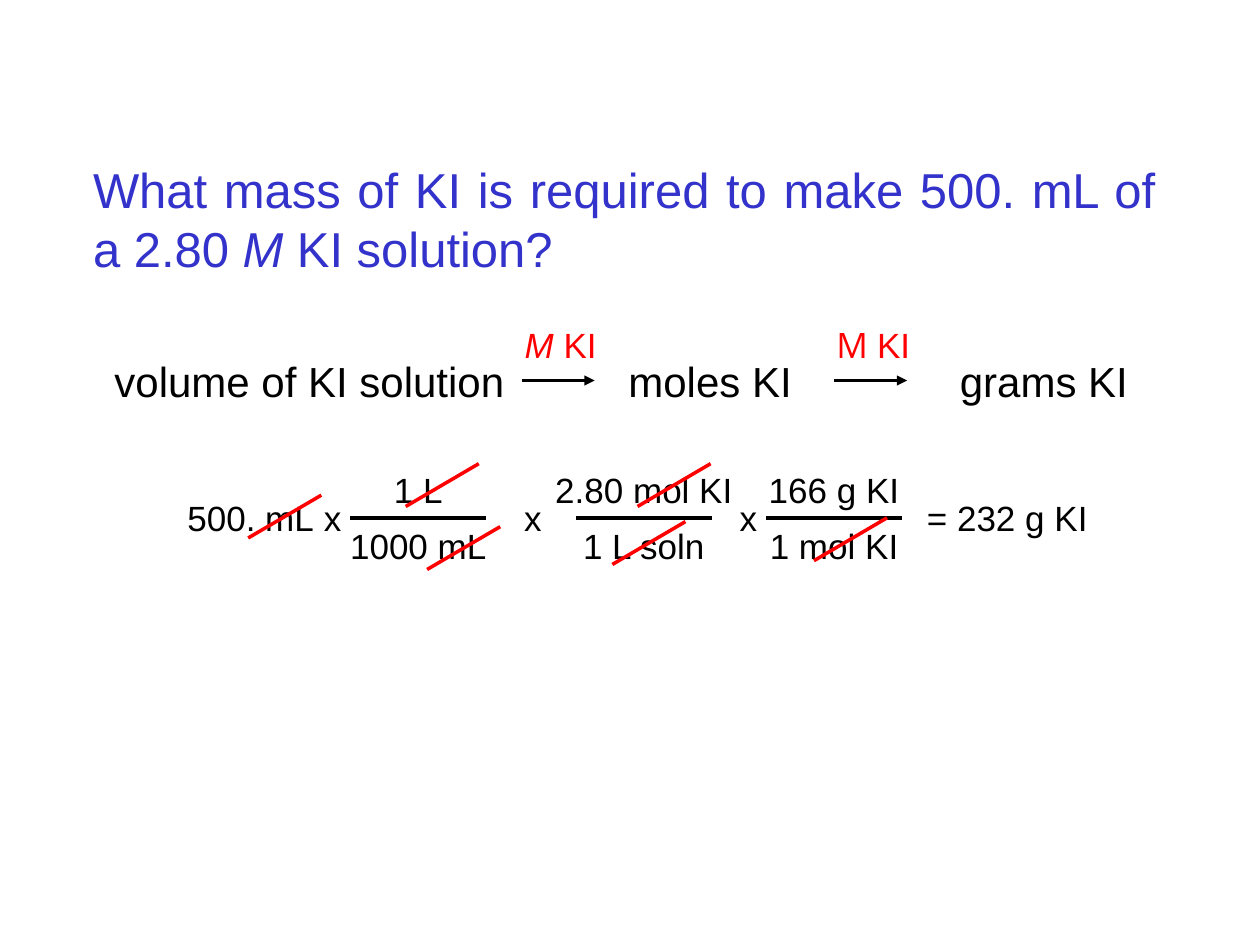
from collections import namedtuple

from lxml import etree
from pptx import Presentation
from pptx import util as u
from pptx.dml.color import RGBColor
from pptx.enum import shapes, text
from pptx.oxml import ns

COLUMNS, ROWS = 100, 75
CELL = u.Inches(0.1)
BLUE = RGBColor(0x33, 0x33, 0xCC)
BLACK = RGBColor(0, 0, 0)
RED = RGBColor(0xFF, 0, 0)
STRIKE_WIDTH, STRIKE_HEIGHT = 5.8, 3.4
BAR_WIDTH = 10.8
LABEL_HEIGHT = 4.4

Box = namedtuple("Box", "left top width height")
Run = namedtuple("Run", "words italic font", defaults=(False, "Arial"))
Term = namedtuple("Term", "words width")


def cells(*counts):
    return [u.Emu(round(count * CELL)) for count in counts]


def add_text(canvas, box, runs, size, color):
    frame = canvas.shapes.add_textbox(*cells(*box)).text_frame
    frame.word_wrap = False
    frame.auto_size = text.MSO_AUTO_SIZE.NONE
    frame.margin_left = frame.margin_right = 0
    para = frame.paragraphs[0]
    para.alignment = text.PP_ALIGN.CENTER
    for run in runs:
        span = para.add_run()
        span.text = run.words
        span.font.name = run.font
        span.font.size = u.Pt(size)
        span.font.italic = run.italic
        span.font.color.rgb = color
    return frame


def add_line(canvas, start, end, color, width, arrow=False):
    line = canvas.shapes.add_connector(
        shapes.MSO_CONNECTOR.STRAIGHT, *cells(*start, *end))
    line.line.color.rgb = color
    line.line.width = u.Pt(width)
    if arrow:
        etree.SubElement(line.line._get_or_add_ln(), ns.qn("a:tailEnd"), type="triangle")
    etree.SubElement(line._element.spPr, ns.qn("a:effectLst"))


def add_strike(canvas, left, top):
    add_line(canvas, (left, top + STRIKE_HEIGHT), (left + STRIKE_WIDTH, top), RED, 2)


def add_question(page, box):
    runs = [Run("What mass of KI is required to make 500. mL of a 2.80 "),
            Run("M", True), Run(" KI solution?")]
    frame = add_text(page, box, runs, 28, BLUE)
    frame.word_wrap = True
    frame.margin_left = frame.margin_right = u.Inches(0.1)
    frame.paragraphs[0].alignment = text.PP_ALIGN.JUSTIFY


def add_pathway(page, box):
    group = page.shapes.add_group_shape()
    steps = [(0, 32.9, "volume of KI solution"),
             (40.8, 14.9, "moles KI"),
             (67.1, 15.3, "grams KI")]
    for offset, width, words in steps:
        step = Box(box.left + offset, box.top + 2.5, width, 5)
        add_text(group, step, [Run(words)], 24, BLACK)
    factors = [(33.3, [Run("M", True), Run(" KI")]),
               (58.1, [Run("M ", font="Open Sans"), Run("KI")])]
    for offset, runs in factors:
        left, middle = box.left + offset, box.top + 5
        add_line(group, (left, middle), (left + 5.8, middle), BLACK, 1.75, True)
        add_text(page, Box(left - 0.8, box.top, 7.8, LABEL_HEIGHT), runs, 20, RED)


def add_fraction(page, box, terms, strikes):
    group = page.shapes.add_group_shape()
    right, middle = box.left + box.width, box.top + LABEL_HEIGHT
    center = right - BAR_WIDTH / 2
    for top, term in zip((box.top, middle), terms):
        add_text(group, Box(center - term.width / 2, top, term.width, LABEL_HEIGHT),
                 [Run(term.words)], 20, BLACK)
    add_line(group, (right - BAR_WIDTH, middle), (right, middle), BLACK, 2)
    add_text(group, Box(box.left, middle - LABEL_HEIGHT / 2, 3.4, LABEL_HEIGHT),
             [Run("x")], 20, BLACK)
    for across, down in strikes:
        add_strike(group, box.left + across, box.top + down)


def add_calculation(page, box):
    ends = [(0, 12, "500. mL"), (58.7, 14.7, "= 232 g KI")]
    for offset, width, words in ends:
        end = Box(box.left + offset, box.top + LABEL_HEIGHT / 2, width, LABEL_HEIGHT)
        add_text(page, end, [Run(words)], 20, BLACK)
    add_strike(page, box.left + 5.8, box.top + 2.6)
    fractions = [
        (10.8, 13.9, (Term("1 L", 5.8), Term("1000 mL", 12.8)),
         [(7.5, 0.1), (9.2, 5.1)]),
        (26.7, 15.9, (Term("2.80 mol KI", 16.1), Term("1 L soln", 11.7)),
         [(10, 0.1), (8, 4.7)]),
        (43.8, 13.9, (Term("166 g KI", 12.3), Term("1 mol KI", 12.2)),
         [(6.9, 4.4)]),
    ]
    for offset, width, terms, strikes in fractions:
        part = Box(box.left + offset, box.top, width, box.height)
        add_fraction(page, part, terms, strikes)


def main():
    deck = Presentation()
    deck.slide_width, deck.slide_height = cells(COLUMNS, ROWS)
    page = deck.slides.add_slide(deck.slide_layouts[6])
    add_question(page, Box(6.4, 12.2, 86.3, 10.4))
    add_pathway(page, Box(8.1, 25.2, 82.4, 7.5))
    add_calculation(page, Box(13.9, 36.7, 73.4, 2 * LABEL_HEIGHT))
    deck.save("out.pptx")


if __name__ == "__main__":
    main()
